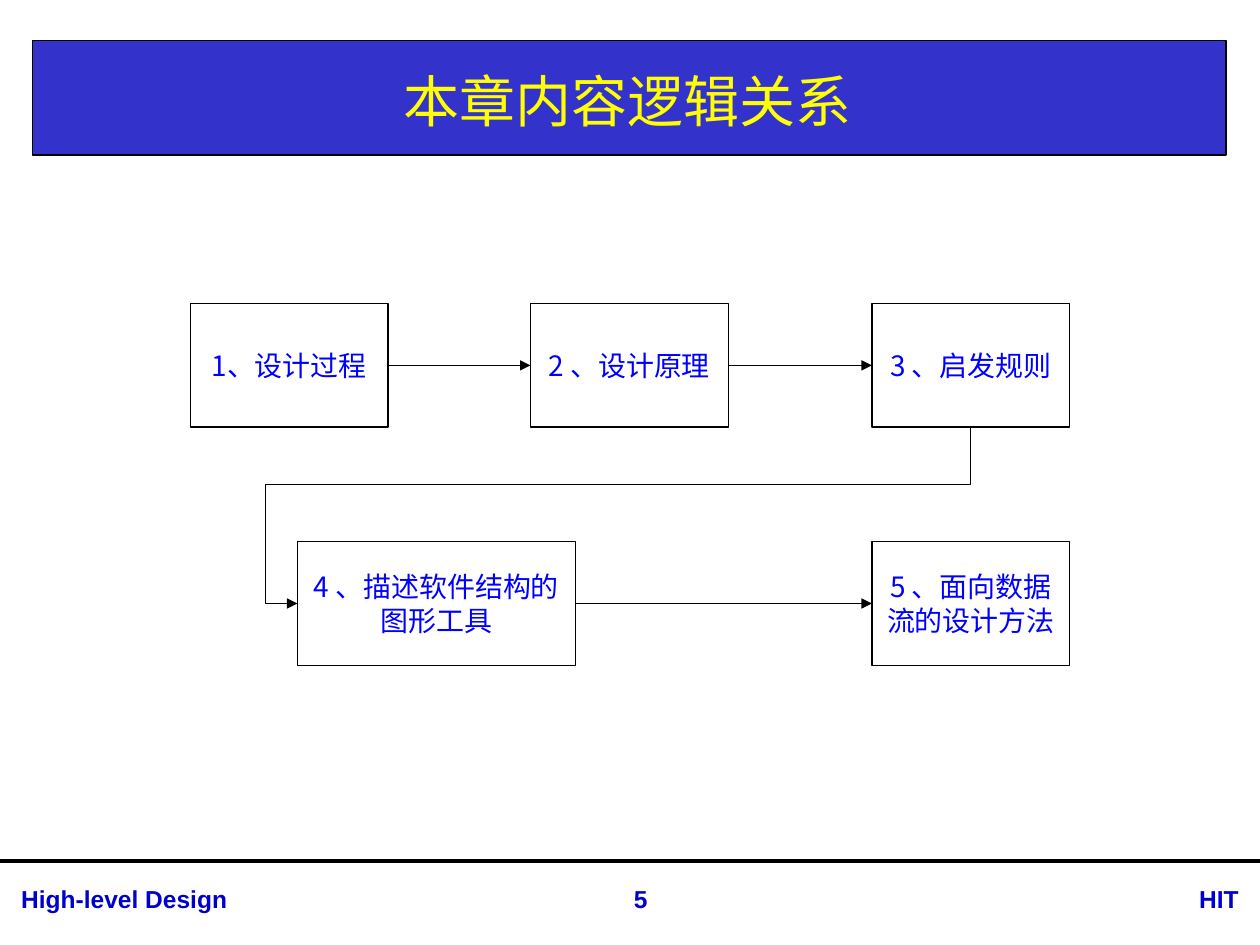
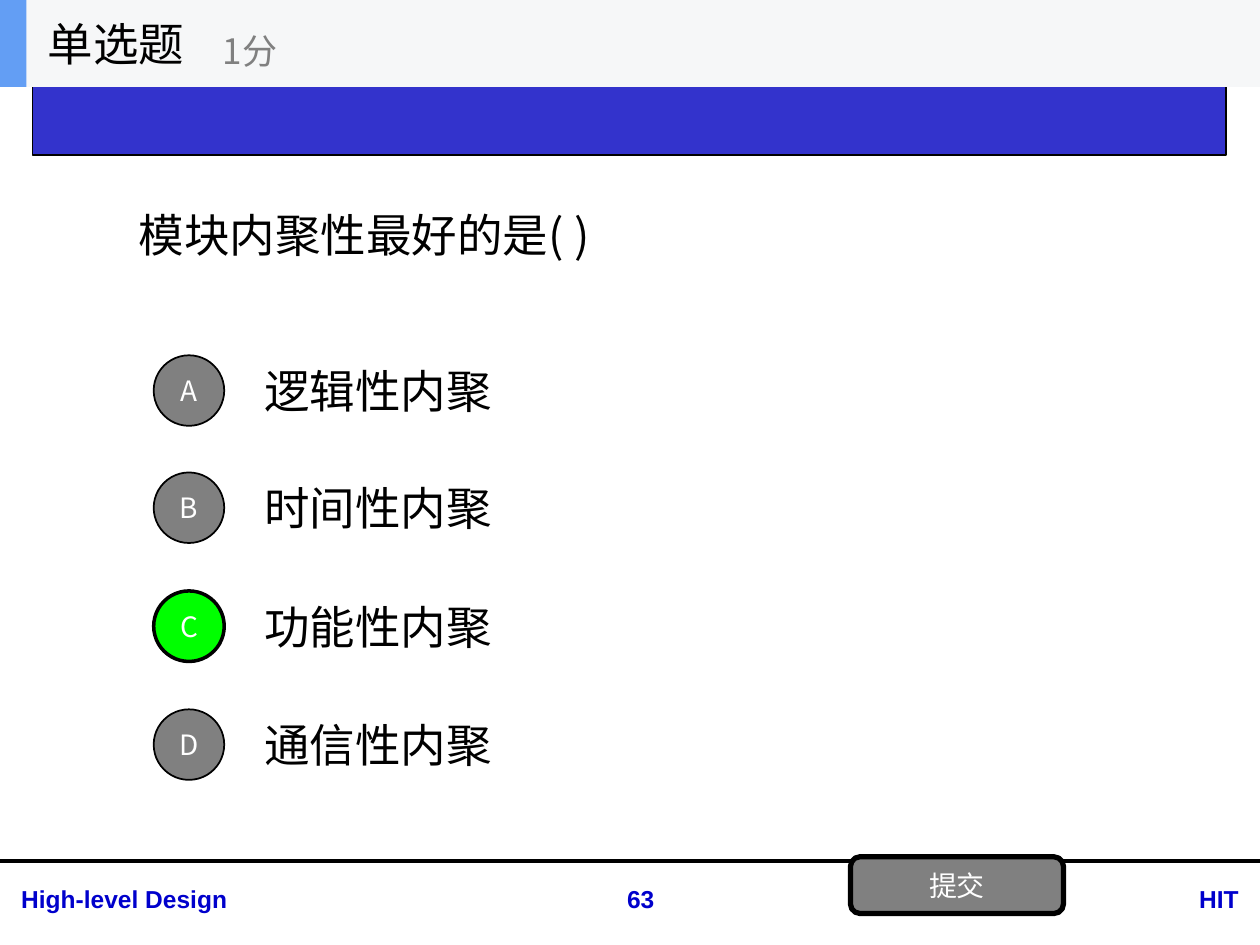
from dataclasses import dataclass
from typing import Any, NamedTuple

from lxml import etree
from pptx import Presentation
from pptx.dml.color import RGBColor
from pptx.enum.shapes import MSO_CONNECTOR, MSO_SHAPE
from pptx.enum.text import MSO_ANCHOR, MSO_AUTO_SIZE, PP_ALIGN
from pptx.oxml.ns import qn
from pptx.util import Emu, Pt

RECTANGLE = MSO_SHAPE.RECTANGLE
ROUNDED = MSO_SHAPE.ROUNDED_RECTANGLE
OVAL = MSO_SHAPE.OVAL
STRAIGHT = MSO_CONNECTOR.STRAIGHT
ELBOW = MSO_CONNECTOR.ELBOW
LEFT, CENTER, RIGHT = PP_ALIGN.LEFT, PP_ALIGN.CENTER, PP_ALIGN.RIGHT
TOP, MIDDLE = MSO_ANCHOR.TOP, MSO_ANCHOR.MIDDLE
NO_FIT = MSO_AUTO_SIZE.NONE

EMU_PER_PX = 9144
PAGE_WIDTH, PAGE_HEIGHT = 1000, 750
TITLE_ONLY = 5
LEFT_SITE, RIGHT_SITE = 1, 3


@dataclass(frozen=True)
class Theme:
    black: str = "000000"
    white: str = "FFFFFF"
    gray: str = "808080"
    band: str = "3333CC"
    title: str = "FFFF00"
    footer: str = "0000CC"
    step: str = "0000FF"
    correct: str = "00FF00"
    header: str = "F6F7F8"
    accent: str = "639EF4"
    chinese: str = "Noto Sans CJK SC"
    latin: str = "Arial"
    title_size: int = 32
    question_size: int = 26
    score_size: int = 20
    label_size: int = 16
    footer_size: int = 14
    thin: float = 0.75
    rule: float = 2.25


THEME = Theme()


class Area(NamedTuple):
    left: int
    top: int
    width: int
    height: int

    def emu(self) -> list[Emu]:
        return [px(value) for value in self]


class Step(NamedTuple):
    text: str
    area: Area


class Option(NamedTuple):
    letter: str
    text: str
    correct: bool = False


class Footer(NamedTuple):
    text: str
    area: Area
    align: Any


STEP_WIDTH, STEP_HEIGHT = 157, 98
UPPER_ROW, LOWER_ROW = 241, 430
STEPS = [
    Step("1、设计过程", Area(151, UPPER_ROW, STEP_WIDTH, STEP_HEIGHT)),
    Step("2 、设计原理", Area(421, UPPER_ROW, STEP_WIDTH, STEP_HEIGHT)),
    Step("3 、启发规则", Area(692, UPPER_ROW, STEP_WIDTH, STEP_HEIGHT)),
    Step("4 、描述软件结构的图形工具", Area(236, LOWER_ROW, 221, STEP_HEIGHT)),
    Step("5 、面向数据流的设计方法", Area(692, LOWER_ROW, STEP_WIDTH, STEP_HEIGHT)),
]
STRAIGHT_LINKS = [(0, 1), (1, 2), (3, 4)]

OPTIONS = [
    Option("A", "逻辑性内聚"),
    Option("B", "时间性内聚"),
    Option("C", "功能性内聚", correct=True),
    Option("D", "通信性内聚"),
]
OPTIONS_TOP, OPTIONS_SPAN = 275, 281


def px(value: float) -> Emu:
    return Emu(round(value * EMU_PER_PX))


def write(shape: Any, text: str, *, size: int, color: str, font: str = THEME.chinese,
          bold: bool = False, align: Any = LEFT, anchor: Any = MIDDLE) -> None:
    frame = shape.text_frame
    frame.word_wrap = True
    frame.auto_size = NO_FIT
    frame.vertical_anchor = anchor
    para = frame.paragraphs[0]
    para.alignment = align
    span = para.add_run()
    span.text = text
    span.font.size = Pt(size)
    span.font.bold = bold
    span.font.color.rgb = RGBColor.from_string(color)
    span.font.name = font
    properties = span.font._element
    etree.SubElement(properties, qn("a:ea")).set("typeface", font)


def add_text(shapes: Any, area: Area, text: str, **style: Any) -> None:
    write(shapes.add_textbox(*area.emu()), text, **style)


def add_box(shapes: Any, kind: Any, area: Area, fill: str, line: float = 0) -> Any:
    box = shapes.add_shape(kind, *area.emu())
    box.shadow.inherit = False
    box.fill.solid()
    box.fill.fore_color.rgb = RGBColor.from_string(fill)
    if line:
        box.line.color.rgb = RGBColor.from_string(THEME.black)
        box.line.width = Pt(line)
    else:
        box.line.fill.background()
    return box


def add_line(shapes: Any, kind: Any, begin: tuple[float, float], end: tuple[float, float],
             width: float = THEME.thin, arrow: bool = False) -> Any:
    line = shapes.add_connector(kind, *(px(value) for value in (*begin, *end)))
    line.line.color.rgb = RGBColor.from_string(THEME.black)
    line.line.width = Pt(width)
    if arrow:
        etree.SubElement(line.line._get_or_add_ln(), qn("a:tailEnd")).set("type", "triangle")
    etree.SubElement(line.element.spPr, qn("a:effectLst"))
    return line


def add_return_arrow(shapes: Any, source: Area, target: Area) -> None:
    begin_x, begin_y = source.left + source.width / 2, source.top + source.height
    end_x, end_y = target.left, target.top + target.height / 2
    middle_x, middle_y = (begin_x + end_x) / 2, (begin_y + end_y) / 2
    half_drop, half_run = (end_y - begin_y) / 2, (begin_x - end_x) / 2
    arrow = add_line(shapes, ELBOW, (middle_x - half_drop, middle_y - half_run),
                     (middle_x + half_drop, middle_y + half_run), arrow=True)
    arrow.element.spPr.find(qn("a:xfrm")).set("rot", str(90 * 60000))
    geometry = arrow.element.spPr.find(qn("a:prstGeom"))
    geometry.set("prst", "bentConnector4")
    guides = geometry.find(qn("a:avLst"))
    for name, value in (("adj1", 32400), ("adj2", 104700)):
        guide = etree.SubElement(guides, qn("a:gd"))
        guide.set("name", name)
        guide.set("fmla", f"val {value}")


def add_page(deck: Any, number: int, title: str, title_area: Area, **style: Any) -> Any:
    page = deck.slides.add_slide(deck.slide_layouts[TITLE_ONLY])
    shapes = page.shapes
    add_box(shapes, RECTANGLE, Area(26, 32, 947, 91), THEME.band, THEME.thin)
    add_line(shapes, STRAIGHT, (0, 683), (PAGE_WIDTH, 683), THEME.rule)
    footers = [
        Footer("High-level Design", Area(7, 697, 385, 34), LEFT),
        Footer("HIT", Area(890, 697, 103, 34), RIGHT),
        Footer(str(number), Area(457, 697, 103, 34), CENTER),
    ]
    for footer in footers:
        add_text(shapes, footer.area, footer.text, size=THEME.footer_size, color=THEME.footer,
                 font=THEME.latin, bold=True, align=footer.align, anchor=TOP)
    heading = shapes.title
    heading.left, heading.top, heading.width, heading.height = title_area.emu()
    write(heading, title, **style)
    heading.element.getparent().append(heading.element)
    return page


def build_logic_page(deck: Any) -> None:
    page = add_page(deck, 5, "本章内容逻辑关系", Area(26, 36, 945, 87),
                    size=THEME.title_size, color=THEME.title, align=CENTER)
    boxes = []
    for step in STEPS:
        box = add_box(page.shapes, RECTANGLE, step.area, THEME.white, THEME.thin)
        write(box, step.text, size=THEME.label_size, color=THEME.step, align=CENTER)
        boxes.append(box)
    for source, target in STRAIGHT_LINKS:
        arrow = add_line(page.shapes, STRAIGHT, (0, 0), (0, 0), arrow=True)
        arrow.begin_connect(boxes[source], RIGHT_SITE)
        arrow.end_connect(boxes[target], LEFT_SITE)
    add_return_arrow(page.shapes, STEPS[2].area, STEPS[3].area)


def build_quiz_page(deck: Any) -> None:
    page = add_page(deck, 63, "模块内聚性最好的是( )", Area(100, 69, 800, 234),
                    size=THEME.question_size, color=THEME.black)
    for index, option in enumerate(OPTIONS):
        top = OPTIONS_TOP + OPTIONS_SPAN * index // (len(OPTIONS) - 1)
        add_text(page.shapes, Area(200, top, 700, 70), option.text,
                 size=THEME.question_size, color=THEME.black)
        fill, line = (THEME.correct, 2) if option.correct else (THEME.gray, 1)
        badge = add_box(page.shapes, OVAL, Area(122, top + 7, 56, 56), fill, line)
        write(badge, option.letter, size=THEME.label_size, color=THEME.white, align=CENTER)

    submit = add_box(page.shapes, ROUNDED, Area(675, 680, 169, 45), THEME.gray, 3)
    write(submit, "提交", size=THEME.label_size, color=THEME.white, align=CENTER)

    header = page.shapes.add_group_shape().shapes
    add_box(header, RECTANGLE, Area(0, 0, PAGE_WIDTH, 69), THEME.header)
    add_box(header, RECTANGLE, Area(0, 0, 21, 69), THEME.accent)
    add_text(header, Area(28, 0, 208, 69), "单选题",
             size=THEME.question_size, color=THEME.black)
    add_text(header, Area(167, 12, 250, 56), "1分",
             size=THEME.score_size, color=THEME.gray)


def main() -> None:
    deck = Presentation()
    deck.slide_width, deck.slide_height = px(PAGE_WIDTH), px(PAGE_HEIGHT)
    build_logic_page(deck)
    build_quiz_page(deck)
    deck.save("out.pptx")


if __name__ == "__main__":
    main()
